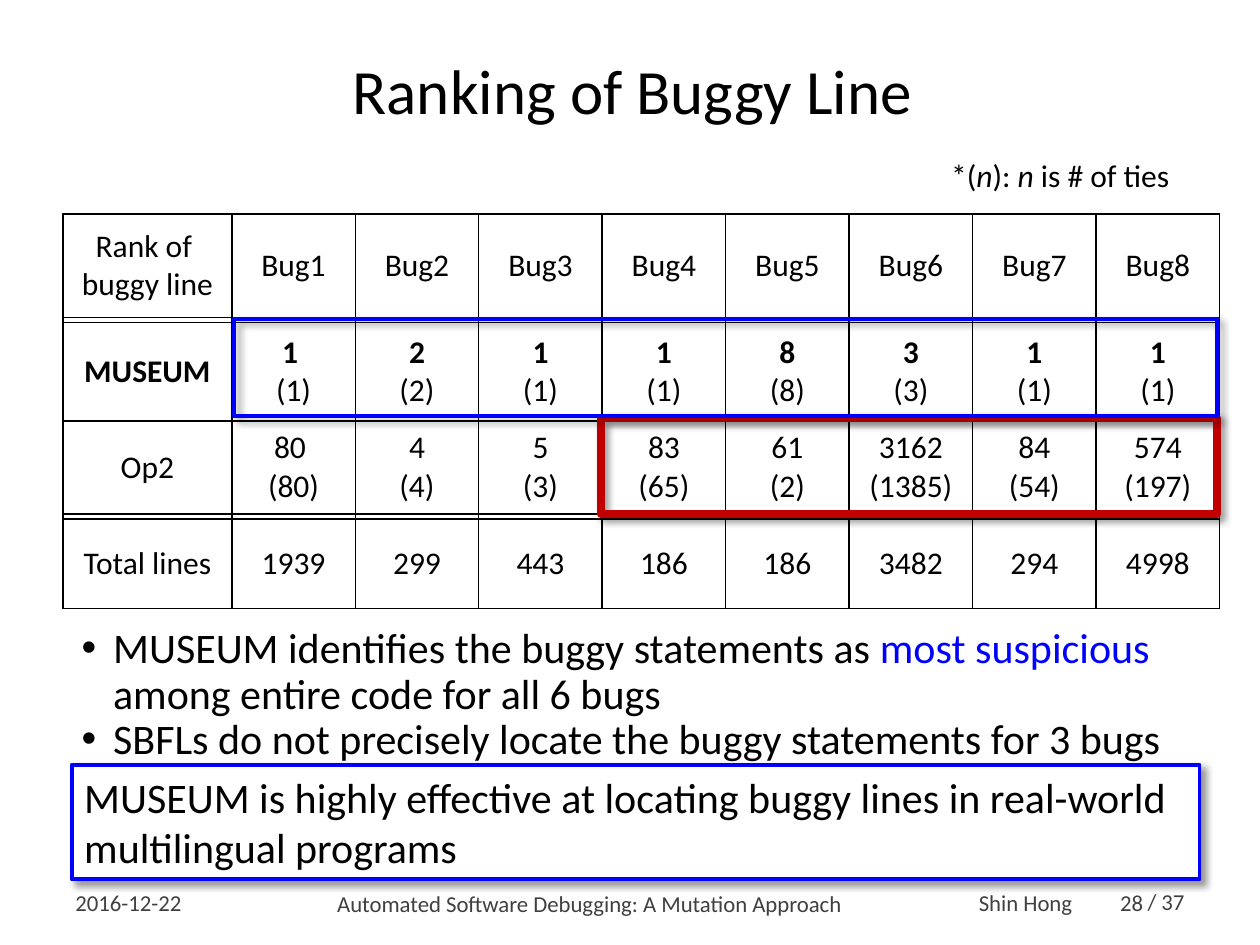
import pptx
import pptx.util
import pptx.oxml
import pptx.dml.color
import pptx.enum.shapes
import pptx.enum.text
from lxml import etree

Inches = pptx.util.Inches
Pt = pptx.util.Pt
ALIGN = pptx.enum.text.PP_ALIGN
ANCHOR = pptx.enum.text.MSO_ANCHOR
SHAPE = pptx.enum.shapes.MSO_SHAPE
NS = "http://schemas.openxmlformats.org/drawingml/2006/main"
BLACK, BLUE, RED, GRAY = "000000", "0000FF", "C00000", "404040"

HEAD = ["Rank of \vbuggy line"] + [f"Bug{i}" for i in range(1, 9)]
MUSEUM = ["MUSEUM", "1 |(1)", "2|(2)", "1|(1)", "1|(1)",
          "8|(8)", "3|(3)", "1|(1)", "1|(1)"]
OP2 = ["Op2", "80 |(80)", "4|(4)", "5|(3)", "83|(65)",
       "61|(2)", "3162|(1385)", "84|(54)", "574|(197)"]
TOTAL = ["Total lines", "1939", "299", "443", "186",
         "186", "3482", "294", "4998"]
GAP = [""] * 9
ROWS = [HEAD, GAP, MUSEUM, OP2, GAP, TOTAL]
HEIGHTS = [0.82, 0.04, 0.78, 0.74, 0.04, 0.71]
WIDTHS = [1.34] + [0.98] * 8


def rgb(code):
    return pptx.dml.color.RGBColor.from_string(code)


def xml(text):
    return pptx.oxml.parse_xml(text.replace(">", f' xmlns:a="{NS}">', 1))


def add_run(para, text, size, color=BLACK, bold=False, italic=False):
    run = para.add_run()
    run.text = text
    font = run.font
    font.name, font.size = "Calibri", Pt(size)
    font.bold, font.italic = bold, italic
    font.color.rgb = rgb(color)


def add_text(slide, box, size, runs, color=BLACK, align=ALIGN.LEFT,
             anchor=ANCHOR.MIDDLE, space=1.0):
    """Place one paragraph; each run is (text, options)."""
    frame = slide.shapes.add_textbox(*map(Inches, box)).text_frame
    frame.word_wrap = True
    frame.vertical_anchor = anchor
    para = frame.paragraphs[0]
    para.alignment, para.line_spacing = align, space
    for text, opts in runs:
        add_run(para, text, size, **{"color": color, **opts})
    return frame


def add_list(slide, box, items):
    frame = add_text(slide, box, 24, [], anchor=ANCHOR.TOP)
    for i, runs in enumerate(items):
        para = frame.add_paragraph() if i else frame.paragraphs[0]
        props = para._p.get_or_add_pPr()
        props.set("marL", str(Inches(0.25)))
        props.set("indent", str(Inches(-0.25)))
        props.append(xml('<a:buFont typeface="Arial"></a:buFont>'))
        props.append(xml('<a:buChar char="•"></a:buChar>'))
        para.line_spacing = 0.9
        for text, color in runs:
            add_run(para, text, 24, color)


def add_frame(slide, box, color, width, kind=SHAPE.RECTANGLE, fill=None):
    """Outlined box with a soft shadow."""
    shape = slide.shapes.add_shape(kind, *map(Inches, box))
    if fill:
        shape.fill.solid()
        shape.fill.fore_color.rgb = rgb(fill)
    else:
        shape.fill.background()
    shape.line.color.rgb = rgb(color)
    shape.line.width = Pt(width)
    shape.shadow.inherit = False
    effects = shape._element.spPr.find(f"{{{NS}}}effectLst")
    effects.append(xml(
        f'<a:outerShdw blurRad="{Pt(4)}" dist="{Pt(3)}" dir="2700000" '
        'algn="tl" rotWithShape="0"><a:srgbClr val="000000">'
        '<a:alpha val="40000"/></a:srgbClr></a:outerShdw>'))
    return shape


def set_cell(cell, text, bold):
    props = cell._tc.get_or_add_tcPr()
    for i, side in enumerate("LRTB"):
        props.insert(i, xml(
            f'<a:ln{side} w="{Pt(1)}"><a:solidFill><a:srgbClr val="{BLACK}"/>'
            f'</a:solidFill></a:ln{side}>'))
    cell.fill.background()
    cell.vertical_anchor = ANCHOR.MIDDLE
    frame = cell.text_frame
    if not text:
        # Spacer rows need tiny text to stay thin
        cell.margin_top = cell.margin_bottom = 0
        end = etree.SubElement(frame.paragraphs[0]._p, f"{{{NS}}}endParaRPr")
        end.set("sz", "100")
        return
    for i, part in enumerate(text.split("|")):
        para = frame.add_paragraph() if i else frame.paragraphs[0]
        para.alignment = ALIGN.CENTER
        for j, line in enumerate(part.split("\v")):
            if j:
                para.add_line_break()
            add_run(para, line, 18, bold=bold and i == 0)


def add_grid(slide):
    box = map(Inches, (0.5, 1.7, sum(WIDTHS), sum(HEIGHTS)))
    table = slide.shapes.add_table(len(ROWS), len(WIDTHS), *box).table
    table.first_row = table.horz_banding = False
    for col, width in zip(table.columns, WIDTHS):
        col.width = Inches(width)
    for r, (row, height) in enumerate(zip(ROWS, HEIGHTS)):
        table.rows[r].height = Inches(height)
        for c, text in enumerate(row):
            set_cell(table.cell(r, c), text, row is MUSEUM)


def add_foot(slide):
    parts = [
        ((0.5, 6.97, 1.16, 0.39), "2016-12-22", ALIGN.LEFT, 1.0),
        ((1.73, 6.97, 5.89, 0.4),
         "Automated Software Debugging: A Mutation Approach",
         ALIGN.CENTER, 1.0),
        ((7.67, 7.06, 1, 0.26), "Shin Hong", ALIGN.LEFT, 0.7),
        ((8.67, 6.97, 0.5, 0.39), "28", ALIGN.RIGHT, 1.0),
        ((9.01, 6.99, 0.66, 0.32), "/ 37", ALIGN.LEFT, 1.0),
    ]
    for box, text, align, space in parts:
        add_text(slide, box, 13, [(text, {})], GRAY, align, space=space)


def main():
    deck = pptx.Presentation()
    deck.slide_width, deck.slide_height = Inches(10), Inches(7.5)
    slide = deck.slides.add_slide(deck.slide_layouts[6])

    # Title, bullets and footer
    add_text(slide, (0.54, 0.31, 8.96, 0.87), 36,
             [("Ranking of Buggy Line", {})], align=ALIGN.CENTER, space=0.9)
    add_list(slide, (0.55, 4.93, 8.8, 1.49), [
        [("MUSEUM identifies the buggy statements as ", BLACK),
         ("most suspicious ", BLUE),
         ("among entire code for all 6 bugs", BLACK)],
        [("SBFLs do not precisely locate the buggy statements for 3 bugs",
          BLACK)],
    ])
    add_foot(slide)

    # Table and its note
    add_grid(slide)
    slant = {"italic": True}
    add_text(slide, (7.45, 1.19, 2.05, 0.4), 18,
             [("*(", {}), ("n", slant), ("): ", {}), ("n", slant),
              (" is # of ties", {})], anchor=ANCHOR.TOP)

    # Highlights and conclusion
    add_frame(slide, (4.77, 3.32, 4.89, 0.76), RED, 4.5)
    note = add_frame(slide, (0.57, 6.07, 8.95, 0.91), BLUE, 2.25,
                     fill="FFFFFF").text_frame
    note.word_wrap = True
    note.vertical_anchor = ANCHOR.TOP
    note.paragraphs[0].alignment = ALIGN.LEFT
    add_run(note.paragraphs[0], "MUSEUM is highly effective at locating buggy "
            "lines in real-world multilingual programs", 24)
    ring = add_frame(slide, (1.86, 2.53, 7.8, 0.77), BLUE, 2.25,
                     SHAPE.ROUNDED_RECTANGLE)
    ring.adjustments[0] = 0

    deck.save("out.pptx")


if __name__ == "__main__":
    main()
